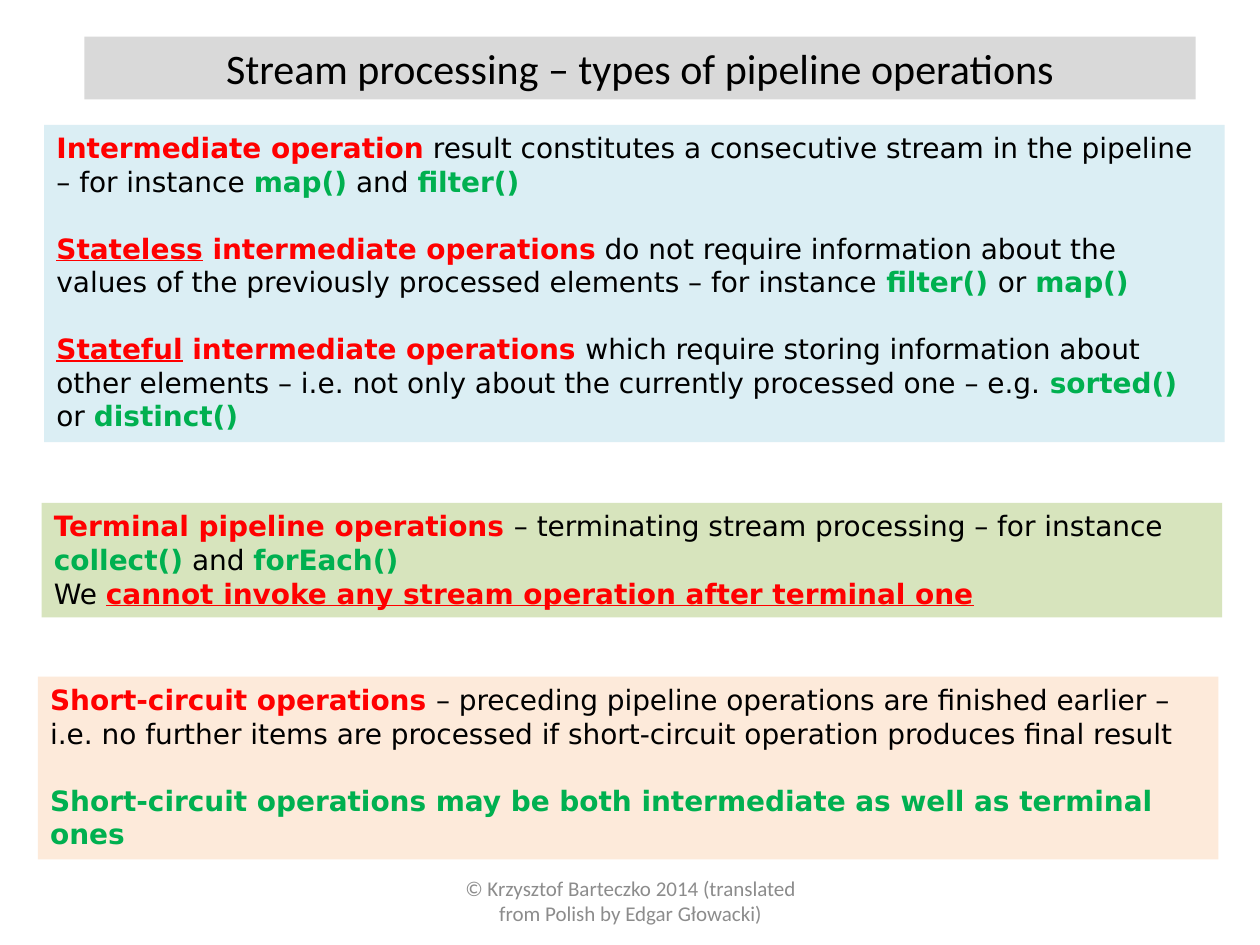
from pptx import Presentation
from pptx.dml.color import RGBColor
from pptx.enum.shapes import MSO_SHAPE as Shape
from pptx.enum.text import MSO_ANCHOR as Anchor, PP_ALIGN as Align
from pptx.util import Inches, Pt

COLORS = {
    "term": "FF0000", "code": "00B050", "plain": "000000", "footer": "8C8C8C",
    "title_bar": "D9D9D9", "intermediate": "DBEEF4",
    "terminal": "D7E4BD", "short_circuit": "FDEADA",
}
PANEL_WIDTH = 9.37
PARAGRAPH_GAP = Pt(19)

# Each paragraph is a list of (style, text); "key" is an underlined term.
INTERMEDIATE = [
    [("term", "Intermediate operation"),
     ("plain", " result constitutes a consecutive stream in the pipeline – for instance "),
     ("code", "map()"), ("plain", " and "), ("code", "filter()")],
    [("key", "Stateless"), ("term", " intermediate operations"),
     ("plain", " do not require information about the values of the previously "
               "processed elements – for instance "),
     ("code", "filter() "), ("plain", "or "), ("code", "map()")],
    [("key", "Stateful"), ("term", " intermediate operations "),
     ("plain", "which require storing information about other elements – i.e. not only "
               "about the currently processed one – e.g. "),
     ("code", "sorted()"), ("plain", " or "), ("code", "distinct()")],
]
TERMINAL = [
    [("term", "Terminal pipeline operations "),
     ("plain", "– terminating stream processing – for instance "),
     ("code", "collect()"), ("plain", " and "), ("code", "forEach()")],
    [("plain", "We "),
     ("key", "cannot invoke any stream operation after terminal one")],
]
SHORT_CIRCUIT = [
    [("term", "Short-circuit operations "),
     ("plain", "– preceding pipeline operations are finished earlier – i.e. no further "
               "items are processed if short-circuit operation produces final result")],
    [("code", "Short-circuit operations may be both intermediate as well as terminal ones")],
]


def rgb(name):
    return RGBColor.from_string(COLORS[name])


def add_run(paragraph, text, font_name, size, color, bold=False, underline=False):
    run = paragraph.add_run()
    run.text = text
    font = run.font
    font.name, font.size = font_name, Pt(size)
    font.bold, font.underline = bold, underline
    font.color.rgb = rgb(color)


def add_bar(slide, box, fill):
    """Add a plain filled rectangle and return its text frame."""
    bar = slide.shapes.add_shape(Shape.RECTANGLE, *map(Inches, box))
    bar.shadow.inherit = False
    bar.fill.solid()
    bar.fill.fore_color.rgb = rgb(fill)
    bar.line.fill.background()
    bar.text_frame.word_wrap = True
    bar.text_frame.vertical_anchor = Anchor.TOP
    return bar.text_frame


def add_title(slide, box):
    title = add_bar(slide, box, "title_bar").paragraphs[0]
    title.alignment = Align.CENTER
    add_run(title, "Stream processing – types of pipeline operations",
            "Calibri", 24, "plain")


def add_panel(slide, box, fill, paragraphs, gap):
    frame = add_bar(slide, box, fill)
    for index, parts in enumerate(paragraphs):
        paragraph = frame.add_paragraph() if index else frame.paragraphs[0]
        paragraph.alignment = Align.LEFT
        paragraph.space_before = gap if index else Pt(0)
        for style, text in parts:
            color = "term" if style == "key" else style
            add_run(paragraph, text, "DejaVu Sans", 16, color,
                    bold=style != "plain", underline=style == "key")


def add_footer(slide, box):
    frame = slide.shapes.add_textbox(*map(Inches, box)).text_frame
    frame.word_wrap = True
    frame.vertical_anchor = Anchor.MIDDLE
    frame.paragraphs[0].alignment = Align.CENTER
    add_run(frame.paragraphs[0],
            "© Krzysztof Barteczko 2014 (translated from Polish by Edgar Głowacki)",
            "Calibri", 12, "footer")


def main():
    deck = Presentation()
    deck.slide_width, deck.slide_height = Inches(10), Inches(7.5)
    slide = deck.slides.add_slide(deck.slide_layouts[6])
    add_panel(slide, (0.35, 0.99, PANEL_WIDTH, 2.52), "intermediate",
              INTERMEDIATE, PARAGRAPH_GAP)
    add_footer(slide, (3.42, 6.95, 3.17, 0.4))
    add_title(slide, (0.67, 0.29, 8.82, 0.5))
    add_panel(slide, (0.33, 3.99, PANEL_WIDTH, 0.91), "terminal", TERMINAL, Pt(0))
    add_panel(slide, (0.3, 5.37, PANEL_WIDTH, 1.45), "short_circuit",
              SHORT_CIRCUIT, PARAGRAPH_GAP)
    deck.save("out.pptx")


if __name__ == "__main__":
    main()
